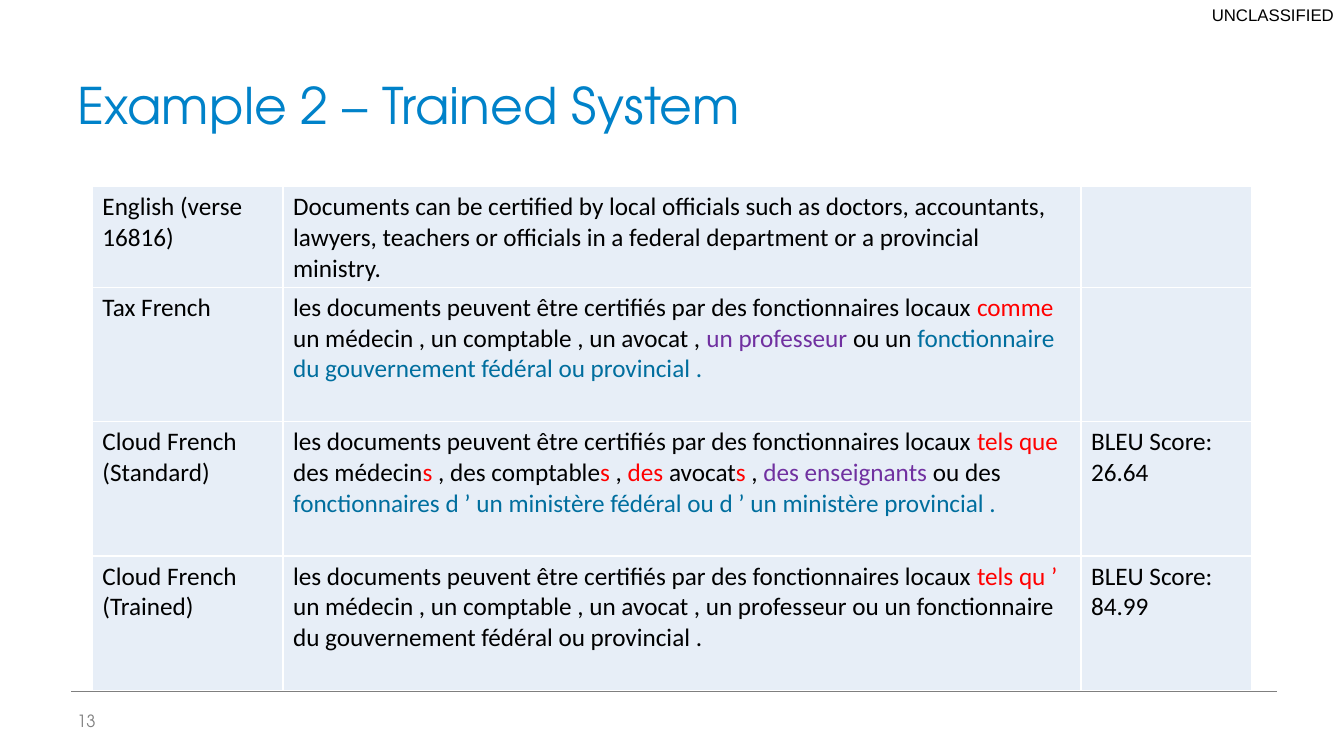
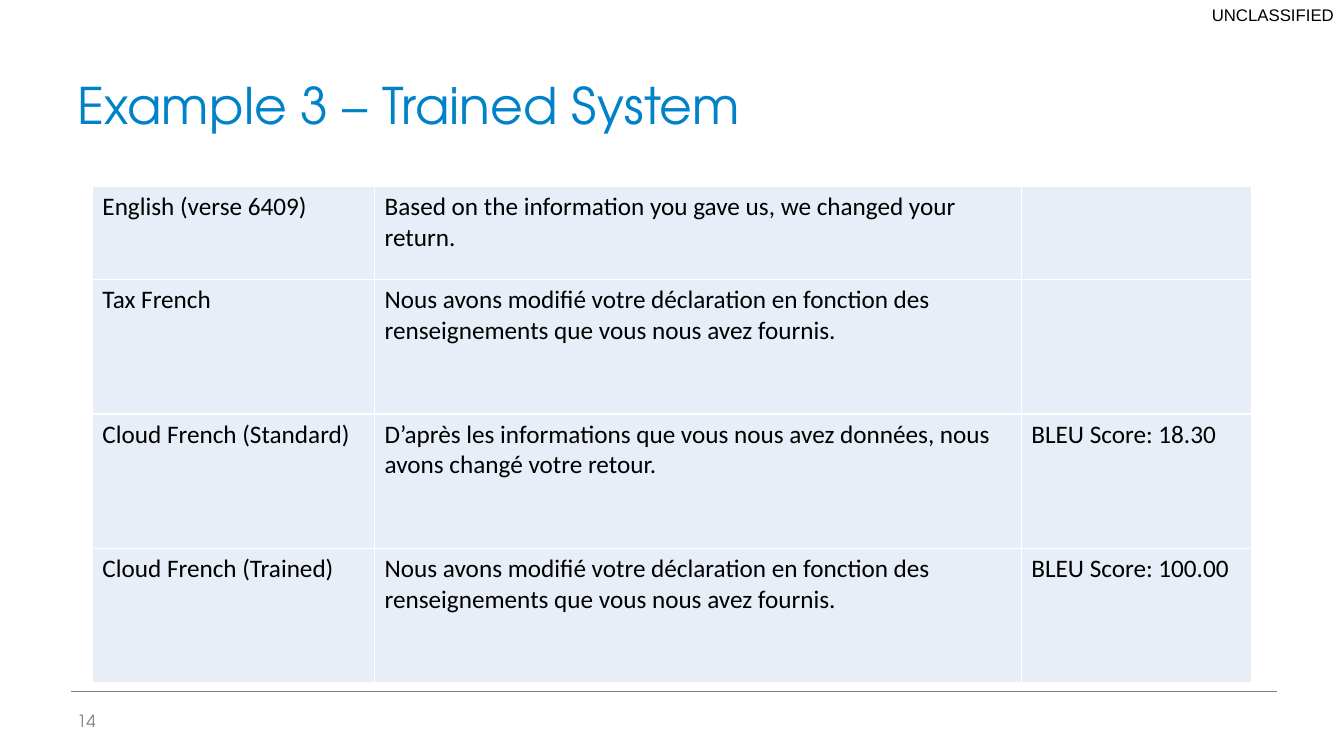
from lxml import etree
from pptx import Presentation
from pptx import util as u
from pptx.dml.color import RGBColor
from pptx.enum import shapes, text
from pptx.oxml import ns

# Shared style
HUES = {
    "title": "0082C9", "grey": "7F7F7F", "black": "000000", "white": "FFFFFF",
    "cell": "E7EEF7", "red": "FF0000", "violet": "7030A0", "blue": "006E9E",
}
HEAD, BODY, MARK = "TeX Gyre Adventor", "Calibri", "Arial"
COLS, ROWS = 160, 90  # grid over the slide
WIDE, HIGH = u.Inches(13.333), u.Inches(7.5)


def hue(name):
    return RGBColor.from_string(HUES[name])


def across(n):
    return u.Emu(round(WIDE * n / COLS))


def down(n):
    return u.Emu(round(HIGH * n / ROWS))


def box(x, y, w, h):
    return across(x), down(y), across(w), down(h)


class Deck:
    def __init__(self):
        self.prs = Presentation()
        self.prs.slide_width, self.prs.slide_height = WIDE, HIGH
        self.slide = None

    def font(self, run, face, size, tint):
        run.font.name, run.font.size = face, u.Pt(size)
        run.font.color.rgb = hue(tint)

    def page(self, title, num):
        """Start a slide with its marking, rule, title and number."""
        self.slide = self.prs.slides.add_slide(self.prs.slide_layouts[5])
        self.label("UNCLASSIFIED", (0, 0, COLS, 3.6), MARK, "black",
                   align=text.PP_ALIGN.RIGHT)
        self.rule(8.5, 152, 82.3)
        self.title(title)
        self.label(str(num), (8, 83.4, 17.2, 4.8), HEAD, "grey",
                   anchor=text.MSO_ANCHOR.MIDDLE)

    def title(self, words):
        head = self.slide.shapes.title
        head.left, head.top, head.width, head.height = box(8, 3.6, 144, 13)
        frame = head.text_frame
        frame.text = words
        frame.vertical_anchor = text.MSO_ANCHOR.BOTTOM
        para = frame.paragraphs[0]
        para.alignment = text.PP_ALIGN.LEFT
        self.font(para.runs[0], HEAD, 36, "title")

    def label(self, words, area, face, tint, align=text.PP_ALIGN.LEFT,
              anchor=text.MSO_ANCHOR.TOP):
        frame = self.slide.shapes.add_textbox(*box(*area)).text_frame
        frame.word_wrap = True
        frame.vertical_anchor = anchor
        frame.text = words
        para = frame.paragraphs[0]
        para.alignment = align
        self.font(para.runs[0], face, 12, tint)

    def rule(self, x1, x2, y):
        line = self.slide.shapes.add_connector(
            shapes.MSO_CONNECTOR.STRAIGHT,
            across(x1), down(y), across(x2), down(y))
        line.line.color.rgb = hue("grey")
        line.line.width = u.Pt(0.25)
        etree.SubElement(line._element.spPr, ns.qn("a:effectLst"))

    def table(self, widths, rows):
        highs = [11.1] + [16] * (len(rows) - 1)
        area = box(11, 22.2, sum(widths), sum(highs))
        grid = self.slide.shapes.add_table(
            len(rows), len(widths), *area).table
        grid.first_row = grid.horz_banding = False
        for col, wide in zip(grid.columns, widths):
            col.width = across(wide)
        for row, high, items in zip(grid.rows, highs, rows):
            row.height = down(high)
            for cell, item in zip(row.cells, items):
                self.cell(cell, item)

    def cell(self, cell, item):
        """Fill a cell from a string or a list of (words, colour) parts."""
        parts = [(item, "black")] if isinstance(item, str) else item
        para = cell.text_frame.paragraphs[0]
        para.font.size = u.Pt(18)
        for words, tint in parts:
            if words:
                run = para.add_run()
                run.text = words
                self.font(run, BODY, 18, tint)
        self.border(cell)
        cell.fill.solid()
        cell.fill.fore_color.rgb = hue("cell")

    def border(self, cell):
        props = cell._tc.get_or_add_tcPr()
        for side in ("lnL", "lnR", "lnT", "lnB"):
            line = etree.SubElement(props, ns.qn("a:" + side), w=str(u.Pt(1)))
            fill = etree.SubElement(line, ns.qn("a:solidFill"))
            etree.SubElement(fill, ns.qn("a:srgbClr"), val=HUES["white"])


# Table text
NAMES = ["Tax French", "Cloud French (Standard)", "Cloud French (Trained)"]
OPEN = ("les documents peuvent être certifiés par des fonctionnaires locaux ",
        "black")
HUMAN = [
    OPEN, ("comme", "red"),
    (" un médecin , un comptable , un avocat , ", "black"),
    ("un professeur", "violet"), (" ou un ", "black"),
    ("fonctionnaire du gouvernement fédéral ou provincial .", "blue"),
]
PLAIN = [
    OPEN, ("tels que ", "red"), ("des médecin", "black"), ("s", "red"),
    (" , des comptable", "black"), ("s", "red"), (" , ", "black"),
    ("des", "red"), (" avocat", "black"), ("s", "red"), (" , ", "black"),
    ("des enseignants", "violet"), (" ou des ", "black"),
    ("fonctionnaires d ’ un ministère fédéral ou d ’ un ministère "
     "provincial .", "blue"),
]
TUNED = [
    OPEN, ("tels qu ’", "red"),
    (" un médecin , un comptable , un avocat , un professeur ou un "
     "fonctionnaire du gouvernement fédéral ou provincial .", "black"),
]
NOTICE = ("Nous avons modifié votre déclaration en fonction des "
          "renseignements que vous nous avez fournis.")

# Each example: number, verse, column widths, English, French, scores
CASES = [
    (2, 16816, (22.7, 95, 20.3),
     "Documents can be certified by local officials such as doctors, "
     "accountants, lawyers, teachers or officials in a federal department "
     "or a provincial ministry.",
     [HUMAN, PLAIN, TUNED], ["26.64", "84.99"]),
    (3, 6409, (33.6, 77, 27.4),
     "Based on the information you gave us, we changed your return.",
     [NOTICE,
      "D’après les informations que vous nous avez données, nous avons "
      "changé votre retour.",
      NOTICE], ["18.30", "100.00"]),
]


def main():
    deck = Deck()
    for page, (num, verse, widths, source, french, marks) in enumerate(
            CASES, 13):
        deck.page(f"Example {num} – Trained System", page)
        scores = [""] + [f"BLEU Score: {mark}" for mark in marks]
        first = (f"English (verse {verse})", source, "")
        deck.table(widths, [first, *zip(NAMES, french, scores)])
    deck.prs.save("out.pptx")


if __name__ == "__main__":
    main()
